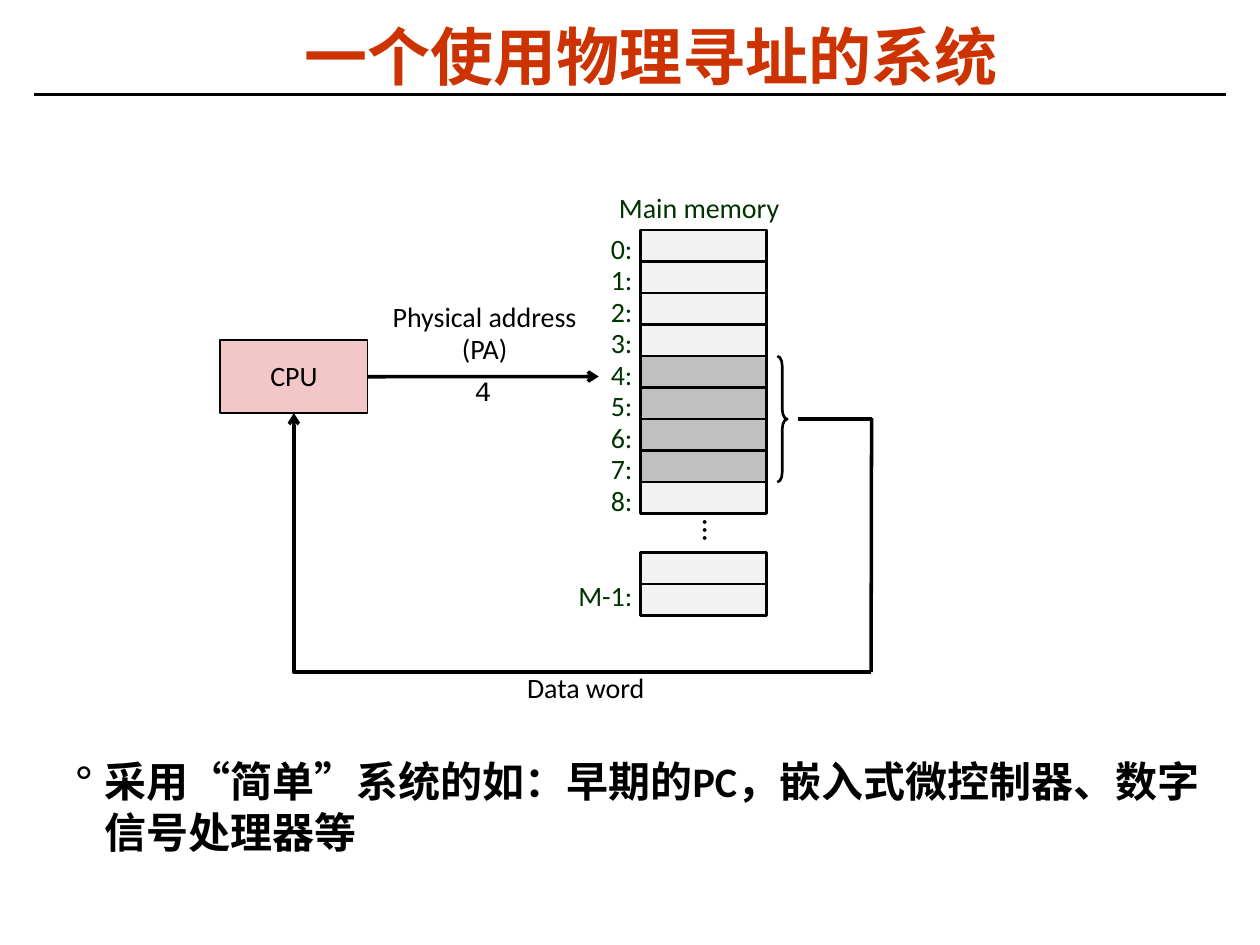
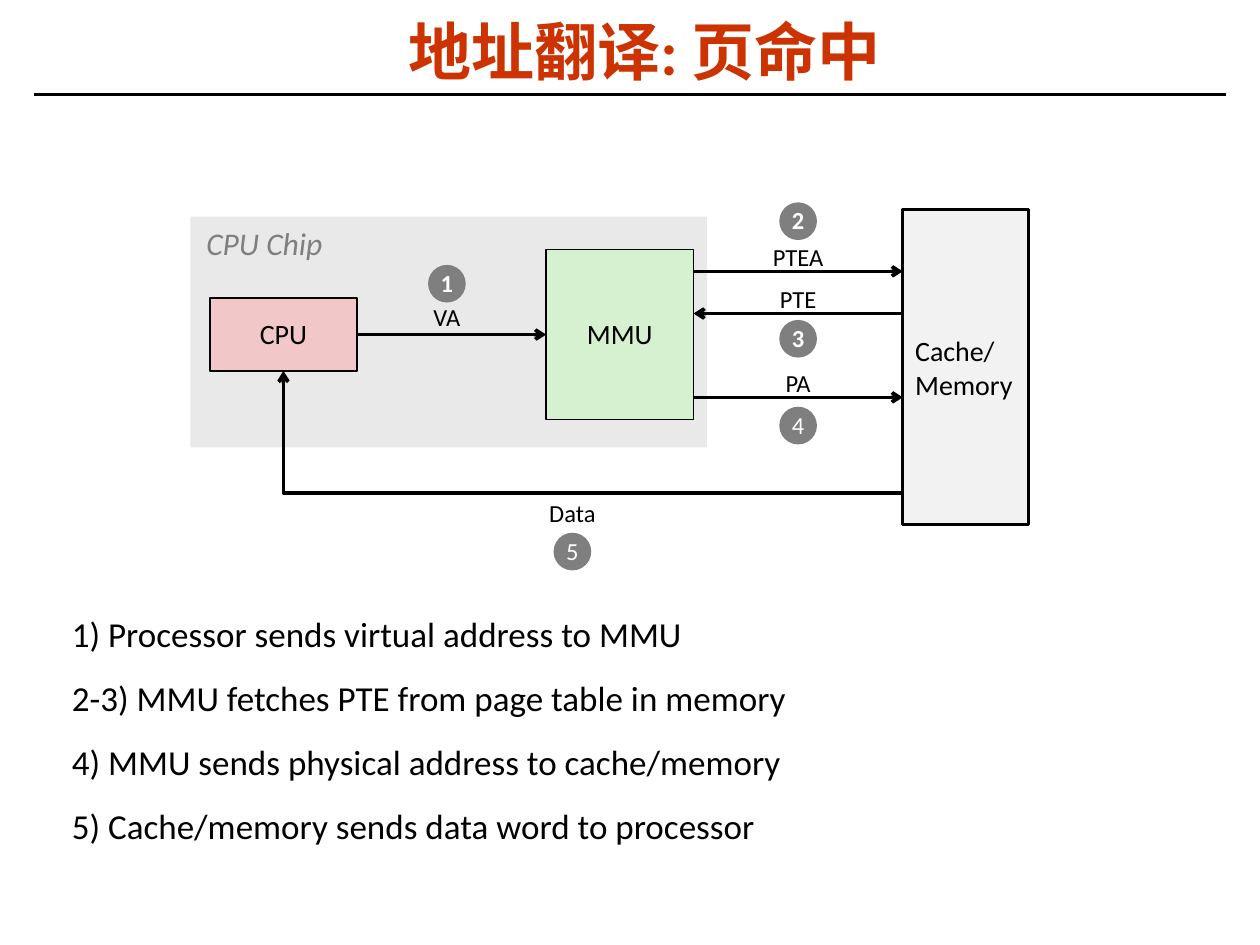
import lxml.etree
import pptx
import pptx.dml.color
import pptx.enum.shapes
import pptx.enum.text
import pptx.oxml
import pptx.oxml.ns
import pptx.util

Cm = pptx.util.Cm
Pt = pptx.util.Pt
qn = pptx.oxml.ns.qn
ALIGN = pptx.enum.text.PP_ALIGN
ANCHOR = pptx.enum.text.MSO_ANCHOR
SHAPE = pptx.enum.shapes.MSO_SHAPE
CONNECTOR = pptx.enum.shapes.MSO_CONNECTOR
COLORS = {
    "title": "CC3300", "black": "000000", "white": "FFFFFF", "label": "003300",
    "cpu": "F1C7C7", "mmu": "D5F1CF", "memory": "F2F2F2", "word": "C0C0C0",
    "chip": "E9E9E9", "gray": "7F7F7F",
}
RGB = {name: pptx.dml.color.RGBColor.from_string(value) for name, value in COLORS.items()}


def add_box(slide, kind, place, lines=(), size=16, color="black", fill=None, border=0,
            align=ALIGN.CENTER, anchor=ANCHOR.MIDDLE, spacing=0.98, before=0, wrap=False,
            margins=(0.25, 0.13), bold=False, italic=False, font="Calibri", east_asian=None):
    left, top, width, height = [Cm(value) for value in place]
    if kind == "title":
        shape = slide.shapes.title
        shape.left, shape.top, shape.width, shape.height = left, top, width, height
    elif kind == "text":
        shape = slide.shapes.add_textbox(left, top, width, height)
    else:
        shape = slide.shapes.add_shape(kind, left, top, width, height)
        shape.shadow.inherit = False
        if fill:
            shape.fill.solid()
            shape.fill.fore_color.rgb = RGB[fill]
        else:
            shape.fill.background()
        if border:
            shape.line.color.rgb = RGB["black"]
            shape.line.width = Pt(border)
        else:
            shape.line.fill.background()
    frame = shape.text_frame
    frame.word_wrap = wrap
    frame.auto_size = pptx.enum.text.MSO_AUTO_SIZE.NONE
    frame.vertical_anchor = anchor
    frame.margin_left = frame.margin_right = Cm(margins[0])
    frame.margin_top = frame.margin_bottom = Cm(margins[1])
    for index, line in enumerate(lines):
        paragraph = frame.add_paragraph() if index else frame.paragraphs[0]
        paragraph.alignment = align
        paragraph.line_spacing = spacing
        paragraph.space_before = Pt(before if index else 0)
        run = paragraph.add_run()
        run.text = line
        run.font.size = Pt(size)
        run.font.name = font
        run.font.bold = bold
        run.font.italic = italic
        run.font.color.rgb = RGB[color]
        if east_asian:
            lxml.etree.SubElement(run.font._element, qn("a:ea")).set("typeface", east_asian)
    return shape


def add_line(slide, start, end, width=2, arrow=False, bent=False):
    connector = slide.shapes.add_connector(
        CONNECTOR.ELBOW if bent else CONNECTOR.STRAIGHT,
        *[Cm(value) for value in (*start, *end)])
    if bent:
        connector._element.spPr.find(qn("a:prstGeom")).set("prst", "bentConnector2")
    connector.line.color.rgb = RGB["black"]
    connector.line.width = Pt(width)
    if arrow:
        tail = lxml.etree.SubElement(connector.line._get_or_add_ln(), qn("a:tailEnd"))
        tail.set("type", "arrow")
    lxml.etree.SubElement(connector._element.spPr, qn("a:effectLst"))
    return connector


presentation = pptx.Presentation()
presentation.slide_width = Cm(25.4)
presentation.slide_height = Cm(19.05)

slides = []
for title, place in (
    ("一个使用物理寻址的系统", (1.02, 0.48, 24.21, 1.47)),
    ("地址翻译: 页命中", (0.89, 0.38, 24.21, 2.18)),
):
    slide = presentation.slides.add_slide(presentation.slide_layouts[5])
    add_line(slide, (0.69, 1.9), (24.71, 1.9), width=1.5)
    add_box(slide, "title", place, [title], size=36, color="title", bold=True, wrap=True,
            anchor=ANCHOR.TOP, spacing=0.87, margins=(0.18, 0.08), east_asian="Calibri")
    slides.append(slide)
physical_slide, translation_slide = slides

slide = physical_slide
word_height = 2.54 / 4
memory_top = 4.64
last_top = 11.77
words = [(memory_top + row * word_height, f"{row}:") for row in range(9)]
words += [(last_top - word_height, None), (last_top, "M-1:")]
for row, (top, label) in enumerate(words):
    add_box(slide, SHAPE.RECTANGLE, (12.91, top, 2.54, word_height), border=1.5,
            fill="word" if 4 <= row <= 7 else "memory")
    if label:
        label_rise = 0.14 if label == "M-1:" else 0.02
        add_box(slide, "text", (11.4, top - label_rise, 1.6, 0.84), [label], color="label",
                align=ALIGN.RIGHT, anchor=ANCHOR.TOP, spacing=0.88)
add_box(slide, "text", (12.23, 3.79, 3.73, 0.84), ["Main memory"], color="label",
        anchor=ANCHOR.TOP, spacing=0.88)
dots = add_box(slide, "text", (13.13, 10.2, 2.54, 0.64), ["..."], size=18, margins=(0.13, 0.25))
dots.text_frame._txBody.bodyPr.set("vert", "eaVert")
brace = add_box(slide, SHAPE.RIGHT_BRACE,
                (15.67, memory_top + 4 * word_height, 0.2, 4 * word_height), border=1.5)
brace.adjustments[0] = 1

cpu = add_box(slide, SHAPE.RECTANGLE, (4.44, 6.86, 2.97, 1.47), ["CPU"], fill="cpu", border=1)
add_box(slide, "text", (7.65, 5.94, 4.24, 1.57), ["Physical address", "(PA)"])
add_box(slide, "text", (9.32, 7.4, 0.84, 0.94), ["4"], font="Courier New",
        align=ALIGN.LEFT, anchor=ANCHOR.TOP, spacing=1)
add_box(slide, "text", (10.36, 13.42, 2.9, 0.91), ["Data word"])
add_line(slide, (7.41, 7.59), (12.07, 7.59), arrow=True).begin_connect(cpu, 3)
add_line(slide, (16.08, 8.45), (17.58, 8.45))
add_line(slide, (17.57, 8.43), (17.56, 13.55))
add_line(slide, (17.56, 13.55), (5.92, 8.33), arrow=True, bent=True).end_connect(cpu, 2)

note = add_box(slide, "text", (1.37, 15.14, 23.09, 2.44),
               ["采用“简单”系统的如：早期的PC，嵌入式微控制器、数字信号处理器等"],
               size=24, bold=True, wrap=True, align=ALIGN.LEFT, anchor=ANCHOR.TOP,
               spacing=Pt(29.2), margins=(0.18, 0.08))
properties = note.text_frame.paragraphs[0]._p.get_or_add_pPr()
properties.set("marL", str(Cm(0.56)))
properties.set("indent", str(-Cm(0.56)))
bullet_color = lxml.etree.SubElement(properties, qn("a:buClr"))
lxml.etree.SubElement(bullet_color, qn("a:srgbClr")).set("val", COLORS["black"])
lxml.etree.SubElement(properties, qn("a:buFont")).set("typeface", "Calibri")
lxml.etree.SubElement(properties, qn("a:buChar")).set("char", "°")

slide = translation_slide
add_box(slide, SHAPE.RECTANGLE, (3.84, 4.37, 10.41, 4.65), fill="chip")
add_box(slide, "text", (3.91, 4.38, 2.84, 1.02), ["CPU Chip"], size=18, color="gray",
        italic=True, align=ALIGN.LEFT, anchor=ANCHOR.TOP, spacing=1)
cpu = add_box(slide, SHAPE.RECTANGLE, (4.23, 6.01, 2.97, 1.47), ["CPU"], fill="cpu", border=1)
mmu = add_box(slide, SHAPE.RECTANGLE, (11.01, 5.03, 2.97, 3.43), ["MMU"], fill="mmu", border=1)
add_box(slide, SHAPE.RECTANGLE, (18.2, 4.23, 2.54, 6.35), ["Cache/", "Memory"],
        fill="memory", border=1.5, align=ALIGN.LEFT, spacing=1)

address_line = add_line(slide, (7.2, 6.74), (11.01, 6.74), arrow=True)
address_line.begin_connect(cpu, 3)
address_line.end_connect(mmu, 1)
add_line(slide, (13.98, 5.47), (18.2, 5.47), arrow=True)
add_line(slide, (18.2, 6.32), (13.98, 6.32), arrow=True)
add_line(slide, (13.98, 8.01), (18.2, 8.01), arrow=True)
add_line(slide, (18.2, 9.94), (5.72, 7.48), arrow=True, bent=True).end_connect(cpu, 2)

transfers = [
    ("VA", 9.01, 5.99, 5.34),
    ("PTEA", 16.09, 4.78, 4.08),
    ("PTE", 16.09, 5.62, 6.45),
    ("PA", 16.09, 7.32, 8.2),
    ("Data", 11.54, 9.94, 10.74),
]
for number, (label, center, label_top, badge_top) in enumerate(transfers, 1):
    add_box(slide, "text", (center - 0.76, label_top, 1.52, 0.84), [label], size=14)
    add_box(slide, SHAPE.OVAL, (center - 0.38, badge_top, 0.76, 0.76), [str(number)],
            size=14, color="white", fill="gray", bold=number <= 3)

steps = [
    "1) Processor sends virtual address to MMU",
    "2-3) MMU fetches PTE from page table in memory",
    "4) MMU sends physical address to cache/memory",
    "5) Cache/memory sends data word to processor",
]
add_box(slide, "text", (1.27, 12.27, 18.85, 5.72), steps, size=20, wrap=True, align=ALIGN.LEFT,
        anchor=ANCHOR.TOP, spacing=1, before=12.5, margins=(0.18, 0.08))

presentation.save("out.pptx")
